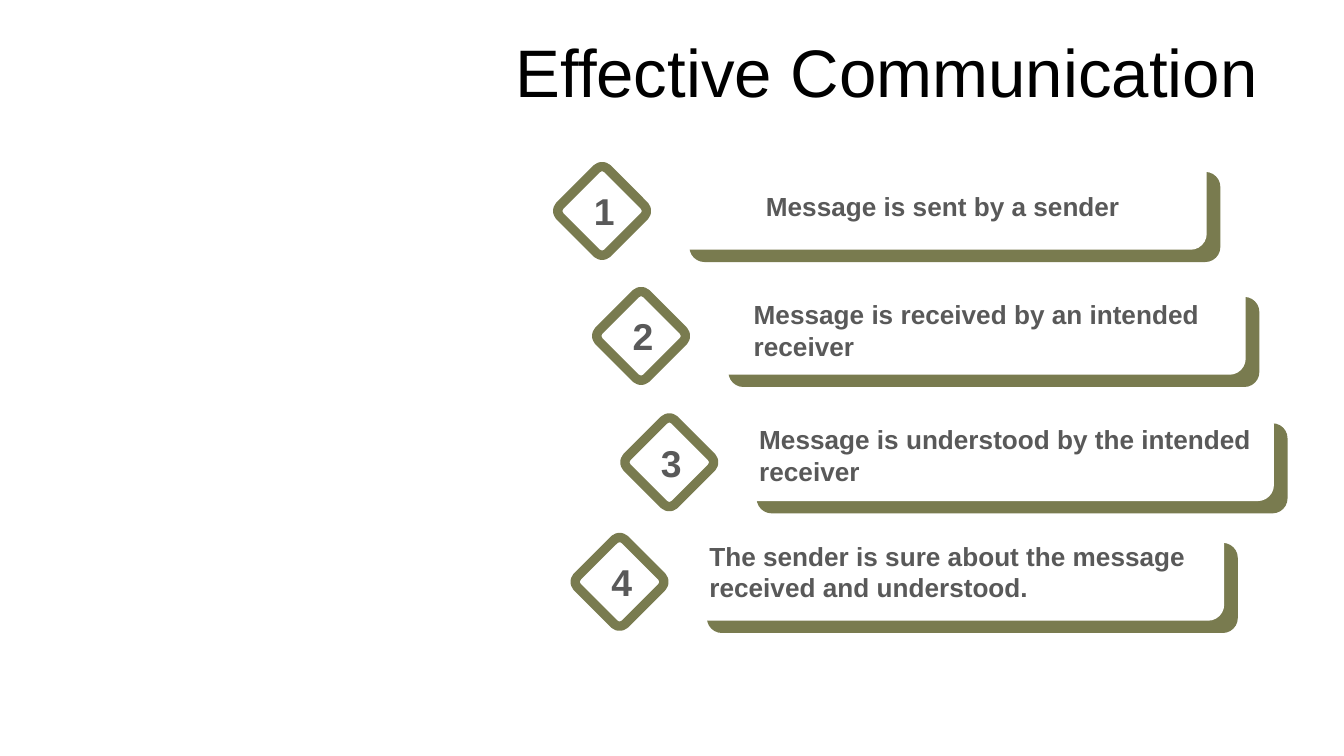
from pptx import Presentation
from pptx.dml.color import RGBColor
from pptx.enum.shapes import MSO_SHAPE
from pptx.enum.text import MSO_ANCHOR, MSO_AUTO_SIZE, PP_ALIGN
from pptx.util import Inches, Pt

ROUNDED = MSO_SHAPE.ROUNDED_RECTANGLE
MIDDLE = MSO_ANCHOR.MIDDLE
LEFT, CENTER = PP_ALIGN.LEFT, PP_ALIGN.CENTER
GROW, FIXED = MSO_AUTO_SIZE.SHAPE_TO_FIT_TEXT, MSO_AUTO_SIZE.NONE

OLIVE = RGBColor(0x79, 0x7B, 0x4F)
WHITE = RGBColor(0xFF, 0xFF, 0xFF)
BLACK = RGBColor(0x00, 0x00, 0x00)
GREY = RGBColor(0x59, 0x59, 0x59)

CARD_WIDTH, CARD_HEIGHT = 3.95, 0.67
DIAMOND_SIZE = 0.5

# Card left and top, message, message box (left, top, width, height)
STEPS = [
    (5.02, 1.18, "Message is sent by a sender", (5.6, 1.36, 3.31, 0.34)),
    (5.31, 2.11, "Message is received by an intended receiver",
     (5.51, 2.17, 3.54, 0.57)),
    (5.52, 3.05, "Message is understood by the intended receiver",
     (5.55, 3.1, 3.89, 0.57)),
    (5.15, 3.94, "The sender is sure about the message received and understood.",
     (5.18, 3.97, 3.84, 0.57)),
]


def add_text(shapes, box, text, size, color, bold=False, align=LEFT,
             auto_size=GROW):
    label = shapes.add_textbox(*map(Inches, box))
    frame = label.text_frame
    frame.word_wrap = True
    frame.auto_size = auto_size
    frame.vertical_anchor = MIDDLE
    frame.text = text
    paragraph = frame.paragraphs[0]
    paragraph.alignment = align
    font = paragraph.runs[0].font
    font.name = "Arial"
    font.size = Pt(size)
    font.bold = bold
    font.color.rgb = color


def add_rounded(shapes, box, fill, line=None, line_width=0):
    panel = shapes.add_shape(ROUNDED, *map(Inches, box))
    panel.shadow.inherit = False
    panel.fill.solid()
    panel.fill.fore_color.rgb = fill
    if line is None:
        panel.line.fill.background()
    else:
        panel.line.color.rgb = line
        panel.line.width = Pt(line_width)
    return panel


def add_step(slide, number, left, top, message, message_box):
    shapes = slide.shapes.add_group_shape().shapes

    # Card over its olive backing
    size = (CARD_WIDTH, CARD_HEIGHT)
    add_rounded(shapes, (left + 0.11, top + 0.1, *size), OLIVE)
    add_rounded(shapes, (left, top, *size), WHITE, WHITE, 1.25)
    add_text(shapes, message_box, message, 14, GREY, bold=True)

    # Numbered diamond
    diamond = add_rounded(
        shapes, (left - 0.79, top + 0.14, DIAMOND_SIZE, DIAMOND_SIZE),
        WHITE, OLIVE, 5)
    diamond.adjustments[0] = 0.11
    diamond.rotation = 45
    add_text(shapes, (left - 0.7, top + 0.17, 0.33, 0.44), str(number), 20,
             GREY, bold=True, align=CENTER)


def main():
    presentation = Presentation()
    presentation.slide_width = Inches(10)
    presentation.slide_height = presentation.slide_width * 9 // 16
    slide = presentation.slides.add_slide(presentation.slide_layouts[6])

    # Title
    add_text(slide.shapes, (3.74, 0.21, 6.26, 0.63),
             "Effective Communication", 36, BLACK, auto_size=FIXED)

    # Steps
    for number, step in enumerate(STEPS, start=1):
        add_step(slide, number, *step)

    presentation.save("out.pptx")


if __name__ == "__main__":
    main()
